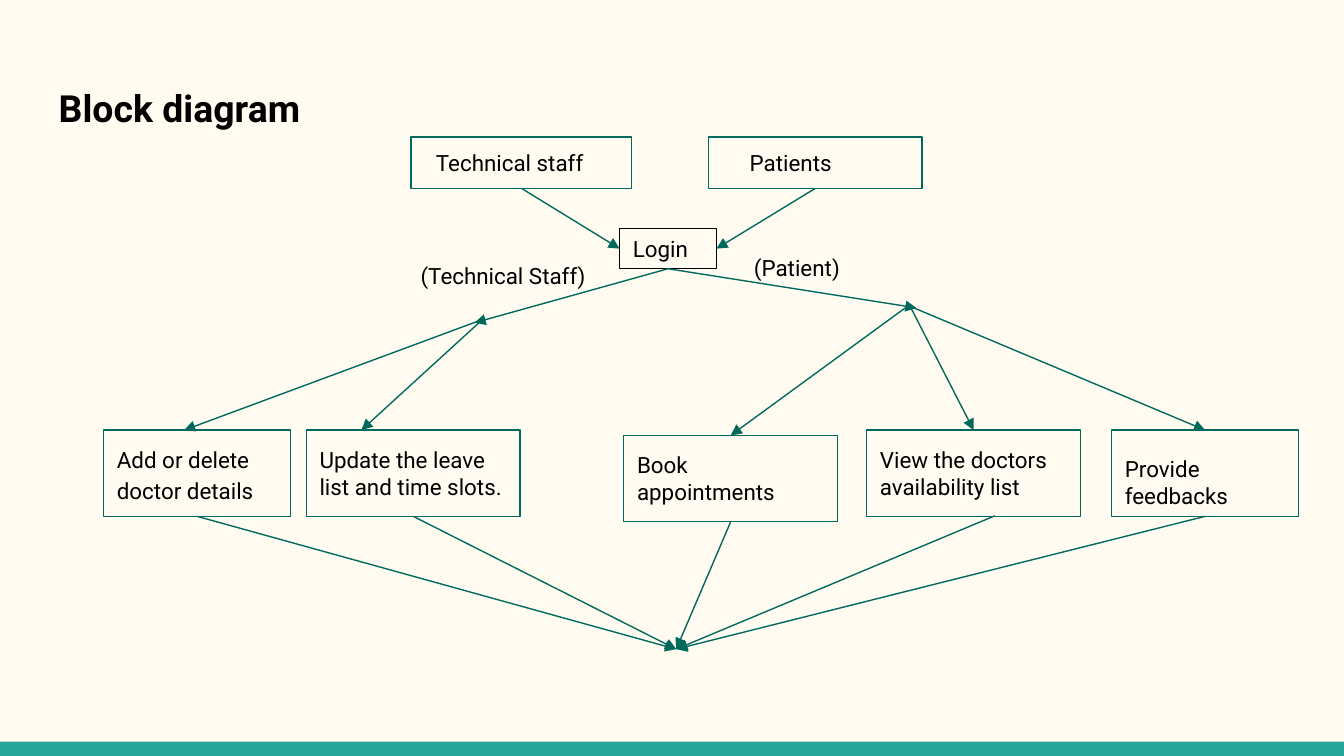
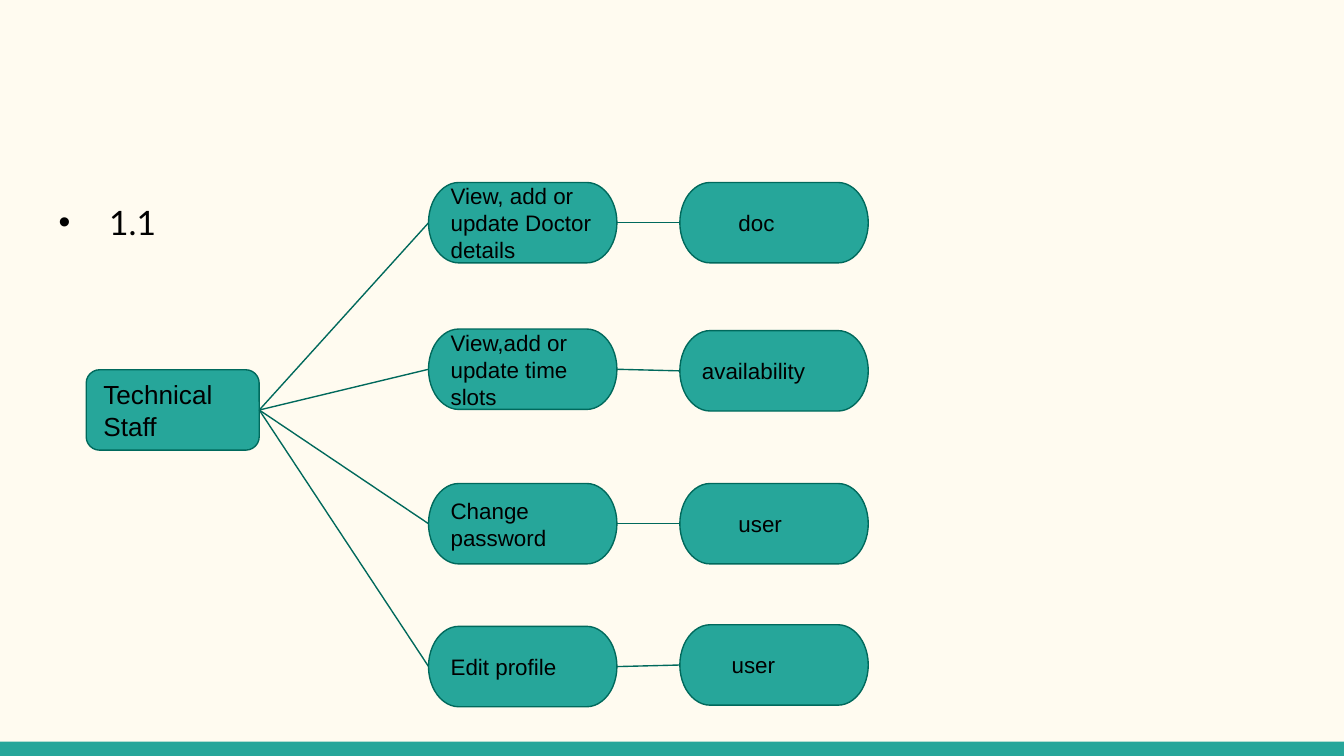
from lxml.etree import SubElement
from pptx import Presentation
from pptx.dml.color import RGBColor
from pptx.enum.shapes import MSO_CONNECTOR, MSO_SHAPE
from pptx.enum.text import MSO_ANCHOR, MSO_AUTO_SIZE, PP_ALIGN
from pptx.oxml.ns import qn
from pptx.util import Cm, Pt

CREAM = RGBColor(0xFF, 0xFB, 0xF0)
TEAL = RGBColor(0x26, 0xA6, 0x9A)
DARK_TEAL = RGBColor(0x00, 0x69, 0x5C)
BLACK = RGBColor(0, 0, 0)
INSET = 0.25
TOP, LEFT, BOTTOM, RIGHT = range(4)  # connection sites

# Block diagram: name -> text, (left, top, width, height) in cm, text options
BLOCKS = {
    "staff": ("Technical staff", (7.77, 2.59, 4.17, 0.97), {"indent": 0.22}),
    "patients": ("Patients", (13.39, 2.59, 4.04, 0.97), {"indent": 0.53}),
    "login": ("Login", (11.71, 4.32, 1.83, 0.76), {}),
    "details": ("Add or delete doctor details", (1.96, 8.13, 3.53, 1.63), {"spacing": 1.15}),
    "leave": ("Update the leave list and time slots.", (5.79, 8.13, 4.04, 1.63), {}),
    "book": ("Book appointments", (11.79, 8.23, 4.04, 1.63), {}),
    "view": ("View the doctors availability list", (16.38, 8.13, 4.04, 1.63), {}),
    "feedback": ("Provide feedbacks", (21.01, 8.13, 3.53, 1.63), {"top": 0.34, "bottom": 0}),
}
BRANCH_LABELS = [
    ("(Technical Staff)", (7.7, 4.7, 4.27, 1.02)),
    ("(Patient)", (14, 4.55, 4.27, 1.02)),
]
# Ends are points in cm or (block name, connection site)
FINISH = (12.78, 12.27)
ARROWS = [
    (("staff", BOTTOM), ("login", LEFT)),
    (("patients", BOTTOM), ("login", RIGHT)),
    (("login", BOTTOM), (8.97, 6.1)),
    (("login", BOTTOM), (17.32, 5.82)),
    ((9.09, 6.05), (3.48, 8.13)),
    ((9.14, 6.02), (6.83, 8.13)),
    ((17.15, 5.79), ("book", TOP)),
    ((17.2, 5.79), ("view", TOP)),
    ((17.2, 5.79), ("feedback", TOP)),
    (("details", BOTTOM), FINISH),
    (("leave", BOTTOM), FINISH),
    (("book", BOTTOM), FINISH),
    ((18.8, 9.75), FINISH),
    (("feedback", BOTTOM), FINISH),
]

# Technical staff tree: action, its top, data store, its top, store indent
STAFF_ROWS = [
    ("View, add or update Doctor details", 3.45, "doc", 3.45, 0.69),
    ("View,add or update time slots", 6.22, "availability", 6.25, 0),
    ("Change password", 9.14, "user", 9.14, 0.69),
    ("Edit profile", 11.84, "user", 11.81, 0.56),
]
ACTION_LEFT, STORE_LEFT = 8.1, 12.85
NODE_SIZE = (3.56, 1.52)


def place(shape, area):
    shape.left, shape.top, shape.width, shape.height = (Cm(value) for value in area)


def write(shape, text, font, size, anchor=MSO_ANCHOR.MIDDLE, bold=False,
          spacing=1.0, indent=0, top=INSET, bottom=INSET):
    frame = shape.text_frame
    frame.text = text
    frame.word_wrap = True
    frame.auto_size = MSO_AUTO_SIZE.NONE
    frame.vertical_anchor = anchor
    frame.margin_left, frame.margin_right = Cm(INSET + indent), Cm(INSET)
    frame.margin_top, frame.margin_bottom = Cm(top), Cm(bottom)
    para = frame.paragraphs[0]
    para.alignment = PP_ALIGN.LEFT
    para.line_spacing = spacing
    para.space_before = Pt(0)
    span = para.runs[0].font
    span.name, span.size, span.bold = font, Pt(size), bold
    span.color.rgb = BLACK


def add_box(page, kind, area, fill=None, line=None):
    box = page.shapes.add_shape(kind, *(Cm(value) for value in area))
    box.shadow.inherit = False
    if fill is None:
        box.fill.background()
    else:
        box.fill.solid()
        box.fill.fore_color.rgb = fill
    if line is None:
        box.line.fill.background()
    else:
        box.line.color.rgb = line
        box.line.width = Pt(0.75)
    return box


def add_node(page, kind, area, text, size=12, indent=0):
    node = add_box(page, kind, area, TEAL, DARK_TEAL)
    write(node, text, "Arial", size, indent=indent)
    return node


def add_link(page, start, end, arrow=False):
    """Draw a line between two ends, each a point in cm or (shape, site)."""
    link = page.shapes.add_connector(MSO_CONNECTOR.STRAIGHT, 0, 0, 0, 0)
    if isinstance(start[0], (int, float)):
        link.begin_x, link.begin_y = Cm(start[0]), Cm(start[1])
    else:
        link.begin_connect(*start)
    if isinstance(end[0], (int, float)):
        link.end_x, link.end_y = Cm(end[0]), Cm(end[1])
    else:
        link.end_connect(*end)
    link.line.color.rgb = DARK_TEAL
    link.line.width = Pt(0.75)
    if arrow:
        SubElement(link.line._get_or_add_ln(), qn("a:tailEnd"), type="triangle")
    SubElement(link.element.spPr, qn("a:effectLst"))


def style_master(deck, page):
    """Give all slides the cream background and the teal bottom band."""
    master = deck.slide_master
    master.background.fill.solid()
    master.background.fill.fore_color.rgb = CREAM
    band = add_box(page, MSO_SHAPE.RECTANGLE, (0, 14.02, 25.4, 0.27), TEAL)
    master.shapes.element.append(band.element)


def build_block_diagram(page):
    title = page.shapes.title
    place(title, (0.86, 1.24, 23.67, 1.7))
    write(title, "Block diagram", "Roboto", 20, MSO_ANCHOR.TOP, bold=True, spacing=1.15)
    title.text_frame.paragraphs[0].space_after = Pt(12)

    # Blocks
    blocks = {}
    for name, (text, area, options) in BLOCKS.items():
        line = BLACK if name == "login" else DARK_TEAL
        blocks[name] = add_box(page, MSO_SHAPE.RECTANGLE, area, line=line)
        write(blocks[name], text, "Roboto", 12, **options)

    # Branch labels
    for text, area in BRANCH_LABELS:
        label = page.shapes.add_textbox(*(Cm(value) for value in area))
        write(label, text, "Roboto", 12, MSO_ANCHOR.TOP)
        label.text_frame.auto_size = MSO_AUTO_SIZE.SHAPE_TO_FIT_TEXT

    # Arrows
    for ends in ARROWS:
        start, end = ((blocks.get(first, first), second) for first, second in ends)
        add_link(page, start, end, arrow=True)


def build_staff_tree(page):
    # Section number
    title, body = page.shapes.title, page.placeholders[1]
    title.element.getparent().remove(title.element)
    place(body, (0.86, 3.45, 23.67, 9.45))
    body.text_frame.text = "1.1"
    properties = body.text_frame.paragraphs[0]._p.get_or_add_pPr()
    properties.set("marL", "0")
    properties.set("indent", "0")
    SubElement(properties, qn("a:buNone"))
    write(body, "1.1", "Lato", 18, MSO_ANCHOR.TOP, spacing=1.15)

    # Root, actions and data stores
    root = add_node(page, MSO_SHAPE.ROUNDED_RECTANGLE, (1.63, 6.99, 3.27, 1.52),
                    "Technical Staff", size=14)
    for action, action_top, store, store_top, indent in STAFF_ROWS:
        action_node = add_node(page, MSO_SHAPE.FLOWCHART_TERMINATOR,
                               (ACTION_LEFT, action_top, *NODE_SIZE), action)
        store_node = add_node(page, MSO_SHAPE.FLOWCHART_TERMINATOR,
                              (STORE_LEFT, store_top, *NODE_SIZE), store, indent=indent)
        add_link(page, (root, RIGHT), (action_node, LEFT))
        add_link(page, (action_node, RIGHT), (store_node, LEFT))


def main():
    deck = Presentation()
    deck.slide_width, deck.slide_height = Cm(25.4), Cm(14.29)
    diagram = deck.slides.add_slide(deck.slide_layouts.get_by_name("Title Only"))
    style_master(deck, diagram)
    build_block_diagram(diagram)
    build_staff_tree(deck.slides.add_slide(deck.slide_layouts.get_by_name("Title and Content")))
    deck.save("out.pptx")


if __name__ == "__main__":
    main()
